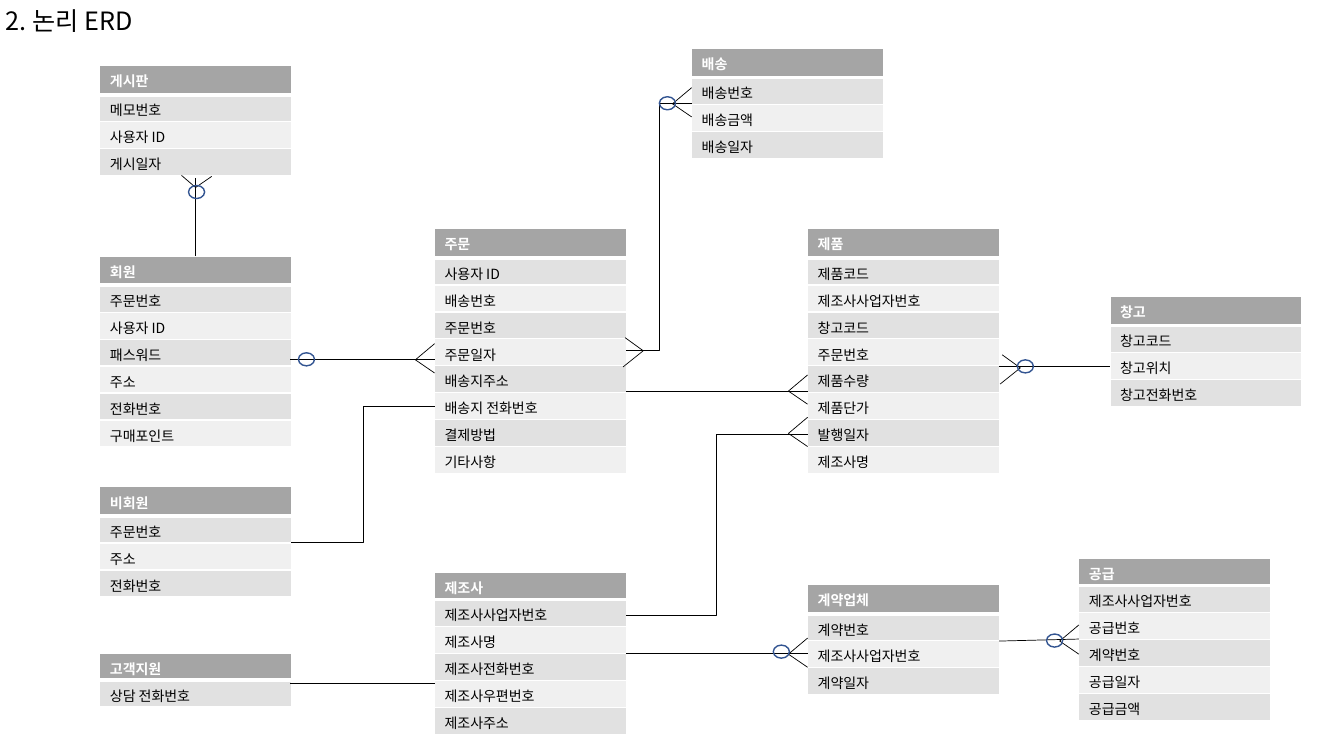
from lxml.etree import SubElement
from pptx import Presentation
from pptx.dml.color import RGBColor
from pptx.enum.shapes import MSO_CONNECTOR, MSO_SHAPE
from pptx.enum.text import MSO_ANCHOR
from pptx.oxml.ns import qn
from pptx.util import Pt

PX = 9144
FONT = "Noto Sans CJK KR"


def hue(code):
    return RGBColor.from_string(code)


def write(frame, text, form, code):
    run = frame.paragraphs[0].add_run()
    run.text = text
    for key, value in form.items():
        setattr(run.font, key, value)
    run.font.color.rgb = hue(code)
    SubElement(run.font._element, qn("a:ea"), typeface=FONT)


deck = Presentation()
deck.slide_width, deck.slide_height = 1333 * PX, 750 * PX
slide = deck.slides.add_slide(deck.slide_layouts[6])
shapes = slide.shapes

title = shapes.add_textbox(-4 * PX, -4 * PX, 167 * PX, 52 * PX).text_frame
for key, value in {"word_wrap": True, "vertical_anchor": MSO_ANCHOR.MIDDLE}.items():
    setattr(title, key, value)
title.paragraphs[0].line_spacing = 0.9
write(title, "2. 논리 ERD", {"name": FONT, "size": Pt(18), "bold": False}, "000000")

tables = [
    (431, 227, 29, ["주문", "사용자 ID", "배송번호", "주문번호", "주문일자",
                    "배송지주소", "배송지 전화번호", "결제방법", "기타사항"]),
    (801, 227, 29, ["제품", "제품코드", "제조사사업자번호", "창고코드", "주문번호",
                    "제품수량", "제품단가", "발행일자", "제조사명"]),
    (686, 48, 29, ["배송", "배송번호", "배송금액", "배송일자"]),
    (1101, 294, 29, ["창고", "창고코드", "창고위치", "창고전화번호"]),
    (99, 65, 29, ["게시판", "메모번호", "사용자 ID", "게시일자"]),
    (99, 254, 29, ["회원", "주문번호", "사용자 ID", "패스워드", "주소",
                   "전화번호", "구매포인트"]),
    (99, 483, 29, ["비회원", "주문번호", "주소", "전화번호"]),
    (801, 580, 29, ["계약업체", "계약번호", "제조사사업자번호", "계약일자"]),
    (99, 648, 21, ["고객지원", "상담 전화번호"]),
    (431, 568, 21, ["제조사", "제조사사업자번호", "제조사명", "제조사전화번호",
                    "제조사우편번호", "제조사주소"]),
    (1070, 554, 21, ["공급", "제조사사업자번호", "공급번호", "계약번호",
                     "공급일자", "공급금액"]),
]
for left, top, head, names in tables:
    count = len(names)
    frame = shapes.add_table(count, 1, left * PX, top * PX, 190 * PX, 27 * count * PX)
    table = frame.table
    for row, name in enumerate(names):
        table.rows[row].height = (23 if row else head) * PX
        cell = table.cell(row, 0)
        thick = {0: "lnB", 1: "lnT"}.get(row)
        props = cell._tc.get_or_add_tcPr()
        for side in ("lnL", "lnR", "lnT", "lnB"):
            edge = SubElement(props, qn("a:" + side), w=str(Pt(3 if side == thick else 1)))
            fill = SubElement(edge, qn("a:solidFill"))
            SubElement(fill, qn("a:srgbClr"), val="FFFFFF")
        cell.fill.solid()
        tone = "A5A5A5" if row == 0 else "E1E1E1" if row % 2 else "F0F0F0"
        cell.fill.fore_color.rgb = hue(tone)
        form = {"name": FONT, "size": Pt(10), "bold": row == 0}
        write(cell.text_frame, name, form, "000000" if row else "FFFFFF")
    frame.height = 27 * count * PX

straight, elbow = MSO_CONNECTOR.STRAIGHT, MSO_CONNECTOR.ELBOW
lines = [
    (straight, 194, 254, 194, 177),
    (straight, 288, 357, 431, 357),
    (straight, 621, 388, 801, 388),
    (straight, 991, 363, 1101, 363),
    (straight, 288, 678, 431, 678),
    (straight, 621, 648, 801, 648),
    (straight, 991, 636, 1070, 634),
    (elbow, 621, 348, 686, 103),
    (elbow, 431, 403, 289, 538),
    (elbow, 801, 431, 621, 611),
]
spread = {
    "right": [(19, -16), (19, 13)],
    "left": [(-18, -13), (-20, 16)],
    "up": [(-14, -12), (16, -11)],
}
feet = [
    ("up", 194, 186), ("right", 412, 357), ("right", 782, 388),
    ("right", 782, 649), ("right", 782, 430), ("right", 1051, 636),
    ("right", 667, 103), ("left", 638, 348), ("left", 1012, 365),
]
for way, left, top in feet:
    for across, down in spread[way]:
        lines.append((straight, left, top, left + across, top + down))
for kind, *ends in lines:
    link = shapes.add_connector(kind, *[end * PX for end in ends])
    link.line.color.rgb = hue("000000")
    link.line.width = Pt(0.5)
    SubElement(link._element.spPr, qn("a:effectLst"))

rings = [(187, 184), (296, 350), (654, 96), (1009, 357), (767, 640), (1038, 629)]
for left, top in rings:
    ring = shapes.add_shape(MSO_SHAPE.OVAL, left * PX, top * PX, 16 * PX, 13 * PX)
    ring.shadow.inherit = False
    ring.fill.background()
    ring.line.color.rgb = hue("325491")
    ring.line.width = Pt(1)

deck.save("out.pptx")
